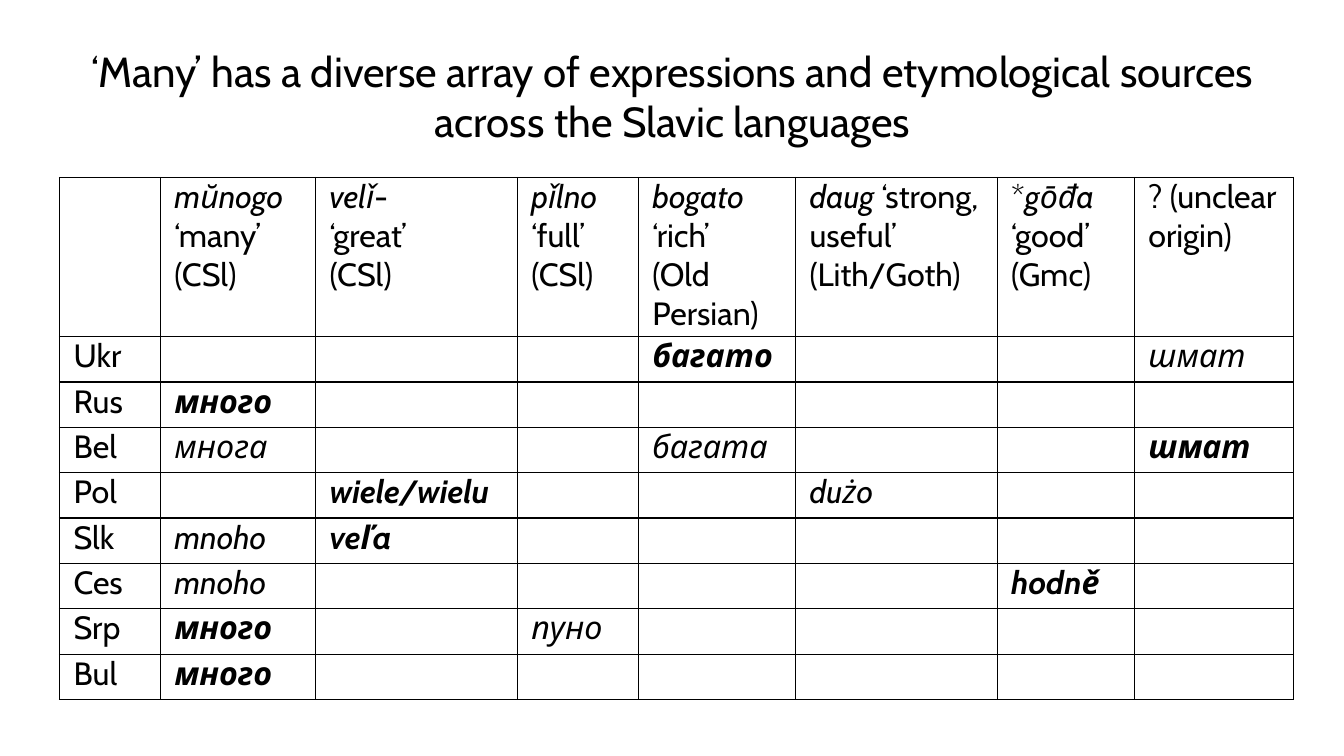
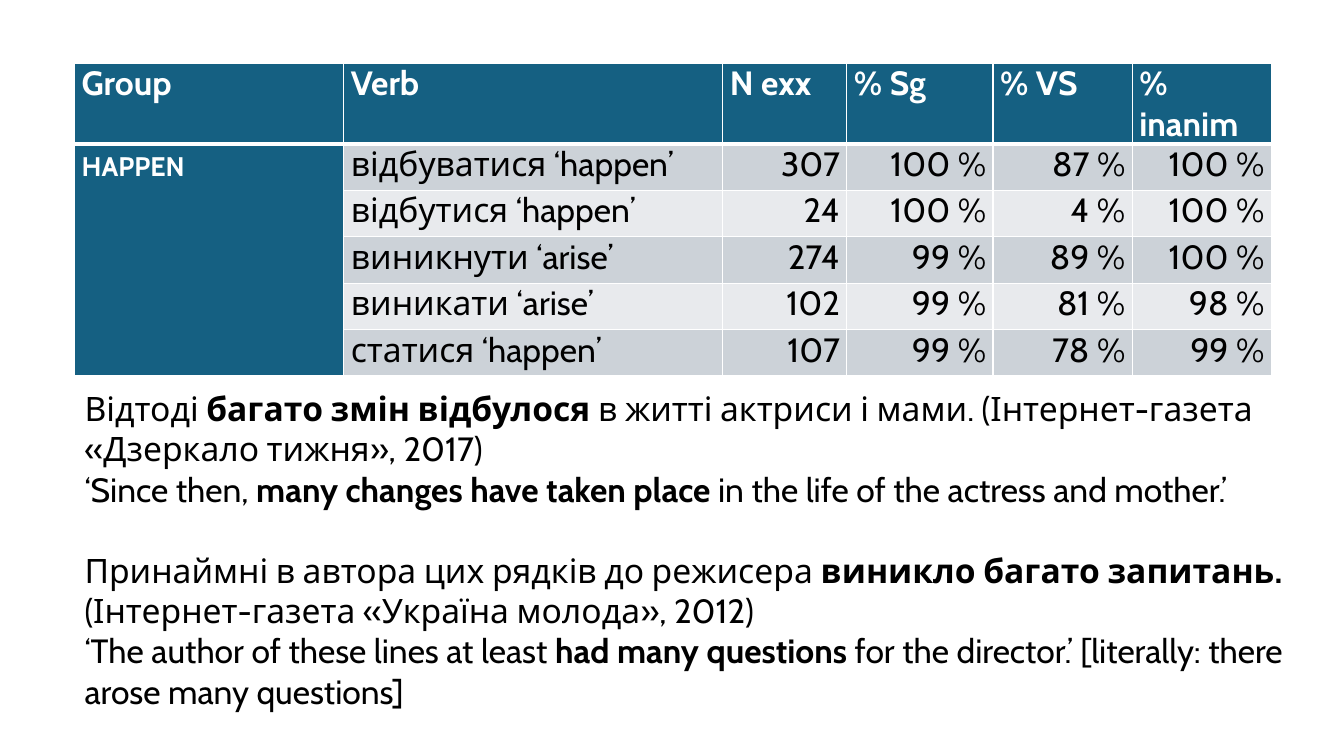
from lxml.etree import SubElement
from pptx import Presentation
from pptx.dml.color import RGBColor
from pptx.enum.text import PP_ALIGN
from pptx.oxml.ns import qn
from pptx.util import Inches, Pt

FONT = "Cabin"
COLORS = {"text": "000000", "white": "FFFFFF", "header": "156082",
          "band_dark": "CCD2D8", "band_light": "E8EAED"}

ORIGIN_WIDTHS = [1, 1.54, 2, 1.2, 1.56, 2, 1.36, 1.58]
ORIGIN_HEADS = [
    [],
    [[("mŭnogo", "i")], ["‘many’"], ["(CSl)"]],
    [[("velǐ", "i"), "-"], ["‘great’"], ["(CSl)"]],
    [[("pǐlno", "i")], ["‘full’"], ["(CSl)"]],
    [[("bogato", "i")], ["‘rich’"], ["(Old Persian)"]],
    [[("daug", "i"), " ‘strong, useful’"], ["(Lith/Goth)"]],
    [["*", ("gōđa", "i"), " ‘good’"], ["(Gmc)"]],
    [["? (unclear origin)"]],
]
LANGUAGES = [
    ("Ukr", {4: ("багато", "bi"), 7: ("шмат", "i")}),
    ("Rus", {1: ("много", "bi")}),
    ("Bel", {1: ("многа", "i"), 4: ("багата", "i"), 7: ("шмат", "bi")}),
    ("Pol", {2: ("wiele/wielu", "bi"), 5: ("dużo", "i")}),
    ("Slk", {1: ("mnoho", "i"), 2: ("veľa", "bi")}),
    ("Ces", {1: ("mnoho", "i"), 6: ("hodně", "bi")}),
    ("Srp", {1: ("много", "bi"), 3: ("пуно", "i")}),
    ("Bul", {1: ("много", "bi")}),
]

VERB_WIDTHS = [2.67, 3.76, 1.23, 1.45, 1.38, 1.38]
VERB_HEADS = ["Group", "Verb", "N exx", "% Sg", "% VS", "% inanim"]
VERBS = [
    ("відбуватися ‘happen’", "307", "100 %", "87 %", "100 %"),
    ("відбутися ‘happen’", "24", "100 %", "4 %", "100 %"),
    ("виникнути ‘arise’", "274", "99 %", "89 %", "100 %"),
    ("виникати ‘arise’", "102", "99 %", "81 %", "98 %"),
    ("статися ‘happen’", "107", "99 %", "78 %", "99 %"),
]
EXAMPLES = [
    ["Відтоді ", ("багато змін відбулося ", "b"),
     "в житті актриси і мами. (Інтернет-газета «Дзеркало тижня», 2017)"],
    ["‘Since then, ", ("many changes have taken place", "b"),
     " in the life of the actress and mother.’"],
    ["Принаймні в автора цих рядків до режисера ",
     ("виникло багато запитань.", "b"),
     " (Інтернет-газета «Україна молода», 2012)"],
    ["‘The author of these lines at least ", ("had many questions", "b"),
     " for the director.’ [literally: there arose many questions]"],
]


def write(frame, paragraphs, size, color="text", align=PP_ALIGN.LEFT):
    """Fill a text frame with paragraphs made of plain or (text, style) spans."""
    frame.word_wrap = True
    for index, spans in enumerate(paragraphs):
        para = frame.add_paragraph() if index else frame.paragraphs[0]
        para.alignment = align
        para.font.name = FONT
        para.font.size = Pt(size)
        para.font.color.rgb = RGBColor.from_string(COLORS[color])
        for item in spans:
            text, style = (item, "") if isinstance(item, str) else item
            span = para.add_run()
            span.text = text
            if "b" in style:
                span.font.bold = True
            if "i" in style:
                span.font.italic = True
            if "s" in style:
                span._r.get_or_add_rPr().set("cap", "small")


def add_text(page, box, paragraphs, size, align=PP_ALIGN.LEFT):
    """Add a wrapped text box and return its frame."""
    frame = page.shapes.add_textbox(*map(Inches, box)).text_frame
    write(frame, paragraphs, size, align=align)
    return frame


def add_grid(page, left, top, widths, heights):
    """Add an unstyled table with the given column widths and row heights."""
    table = page.shapes.add_table(
        len(heights), len(widths), Inches(left), Inches(top),
        Inches(sum(widths)), Inches(sum(heights))).table
    table.first_row = table.horz_banding = False
    for column, width in zip(table.columns, widths):
        column.width = Inches(width)
    for row, height in zip(table.rows, heights):
        row.height = Inches(height)
    return table


def style_cell(cell, inset, border, fill=None, top=1, bottom=1):
    """Set the margins, fill and four borders of a cell."""
    cell.margin_left = cell.margin_right = Inches(inset)
    cell.margin_top = cell.margin_bottom = 0
    properties = cell._tc.get_or_add_tcPr()
    for side, width in (("L", 1), ("R", 1), ("T", top), ("B", bottom)):
        line = SubElement(properties, qn(f"a:ln{side}"), w=str(Pt(width)))
        solid = SubElement(line, qn("a:solidFill"))
        SubElement(solid, qn("a:srgbClr"), val=COLORS[border])
    if fill:
        cell.fill.solid()
        cell.fill.fore_color.rgb = RGBColor.from_string(COLORS[fill])
    else:
        cell.fill.background()


def add_origin_table(page, left, top):
    """Add the table of words for 'many' by language and origin."""
    table = add_grid(page, left, top, ORIGIN_WIDTHS,
                     [1.58] + [0.45] * len(LANGUAGES))
    for cell in table.iter_cells():
        style_cell(cell, 0.14, "text")
    for column, paragraphs in enumerate(ORIGIN_HEADS):
        write(table.cell(0, column).text_frame, paragraphs, 23)
    for row, (language, words) in enumerate(LANGUAGES, 1):
        for column, word in {0: language, **words}.items():
            write(table.cell(row, column).text_frame, [[word]], 23)


def add_verb_table(page, left, top):
    """Add the banded table of verb counts and shares."""
    table = add_grid(page, left, top, VERB_WIDTHS,
                     [0.78] + [0.46] * len(VERBS))
    for column, head in enumerate(VERB_HEADS):
        cell = table.cell(0, column)
        style_cell(cell, 0.07, "white", "header", bottom=3)
        write(cell.text_frame, [[(head, "b")]], 24, "white")
    for row, values in enumerate(VERBS, 1):
        band = "band_dark" if row % 2 else "band_light"
        top_line = 3 if row == 1 else 1
        style_cell(table.cell(row, 0), 0.07, "white", "header", top=top_line)
        for column, value in enumerate(values, 1):
            cell = table.cell(row, column)
            style_cell(cell, 0.07, "white", band, top=top_line)
            align = PP_ALIGN.LEFT if column == 1 else PP_ALIGN.RIGHT
            write(cell.text_frame, [[value]], 24, align=align)
    group = table.cell(1, 0)
    group.merge(table.cell(len(VERBS), 0))
    write(group.text_frame, [[("happen", "bs")]], 24, "white")


def build_origin_slide(page):
    """Build the slide on the sources of 'many'."""
    add_origin_table(page, 0.59, 1.76)
    title = ("‘Many’ has a diverse array of expressions and etymological "
             "sources across the Slavic languages")
    add_text(page, (0.71, 0.4, 11.92, 1.11), [[title]], 30, PP_ALIGN.CENTER)


def build_verb_slide(page):
    """Build the slide on verbs of happening with its examples."""
    add_verb_table(page, 0.74, 0.63)
    frame = add_text(page, (0.74, 3.8, 12.1, 3.33), EXAMPLES, 24)
    frame.paragraphs[2].space_before = Pt(29)


def main():
    """Build and save the deck."""
    deck = Presentation()
    deck.slide_width, deck.slide_height = Inches(13.33), Inches(7.5)
    for build in (build_origin_slide, build_verb_slide):
        build(deck.slides.add_slide(deck.slide_layouts[6]))
    deck.save("out.pptx")


if __name__ == "__main__":
    main()
